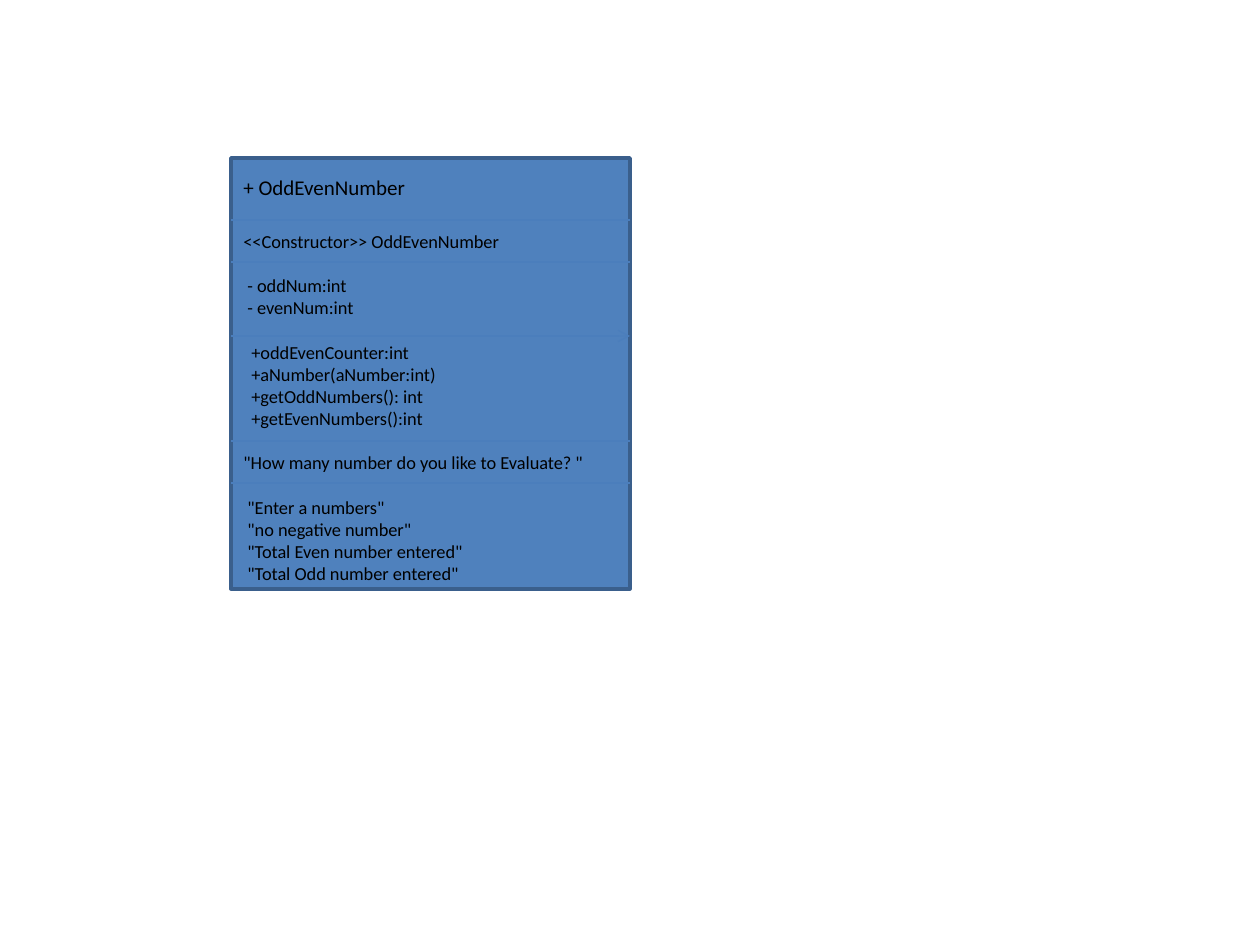
"""Build a slide with a UML class box for OddEvenNumber."""
import pptx
import pptx.dml.color
import pptx.enum.shapes
import pptx.enum.text
import pptx.oxml.ns
import pptx.util
from lxml import etree

PX = 914400 // 126
COLORS = {"box": "4F81BD", "border": "3A5F8C", "rule": "4B7EBC", "text": "000000"}
LEFT, TOP, WIDTH, HEIGHT = 231, 158, 399, 431
RULES = [220, 262, 336, 441, 483]
ARROW_RULE = 336
GROUP_GAP = 12.8
GROUPS = [
    (0, ["<<Constructor>> OddEvenNumber"]),
    (4, ["- oddNum:int", "- evenNum:int"]),
    (8, ["+oddEvenCounter:int", "+aNumber(aNumber:int)",
         "+getOddNumbers(): int", "+getEvenNumbers():int"]),
    (0, ['"How many number do you like to Evaluate? "']),
    (4, ['"Enter a numbers"', '"no negative number"',
         '"Total Even number entered"', '"Total Odd number entered"']),
]


def rgb(name):
    return pptx.dml.color.RGBColor.from_string(COLORS[name])


def write(p, text, size=10.5, indent=0, before=0):
    p.alignment = pptx.enum.text.PP_ALIGN.LEFT
    p.space_before = pptx.util.Pt(before)
    if indent:
        p._p.get_or_add_pPr().set("marL", str(indent * PX))
    r = p.add_run()
    r.text = text
    r.font.size = pptx.util.Pt(size)
    r.font.name = "Calibri"
    r.font.color.rgb = rgb("text")


prs = pptx.Presentation()
prs.slide_width = 1260 * PX
prs.slide_height = 945 * PX
s = prs.slides.add_slide(prs.slide_layouts[6])

sp = s.shapes.add_shape(pptx.enum.shapes.MSO_SHAPE.RECTANGLE,
                        LEFT * PX, TOP * PX, WIDTH * PX, HEIGHT * PX)
sp.shadow.inherit = False
sp.fill.solid()
sp.fill.fore_color.rgb = rgb("box")
sp.line.color.rgb = rgb("border")
sp.line.width = pptx.util.Pt(2)
tf = sp.text_frame
tf.word_wrap = True
tf.vertical_anchor = pptx.enum.text.MSO_ANCHOR.TOP
tf.margin_top = 72 * PX
tf.margin_bottom = 0
p = tf.paragraphs[0]
for g, (indent, lines) in enumerate(GROUPS):
    for i, text in enumerate(lines):
        if g or i:
            p = tf.add_paragraph()
        write(p, text, indent=indent, before=GROUP_GAP if g and i == 0 else 0)

for y in RULES:
    rule = s.shapes.add_connector(pptx.enum.shapes.MSO_CONNECTOR.STRAIGHT,
                                  LEFT * PX, y * PX, (LEFT + WIDTH) * PX, y * PX)
    rule.line.color.rgb = rgb("rule")
    rule.line.width = pptx.util.Pt(0.75)
    if y == ARROW_RULE:
        etree.SubElement(rule.line._get_or_add_ln(),
                         pptx.oxml.ns.qn("a:tailEnd")).set("type", "arrow")
    etree.SubElement(rule._element.spPr, pptx.oxml.ns.qn("a:effectLst"))

name = s.shapes.add_textbox(LEFT * PX, 168 * PX, 189 * PX, 38 * PX)
name.text_frame.word_wrap = False
name.text_frame.auto_size = pptx.enum.text.MSO_AUTO_SIZE.SHAPE_TO_FIT_TEXT
write(name.text_frame.paragraphs[0], "+ OddEvenNumber", size=12)

prs.save("out.pptx")
